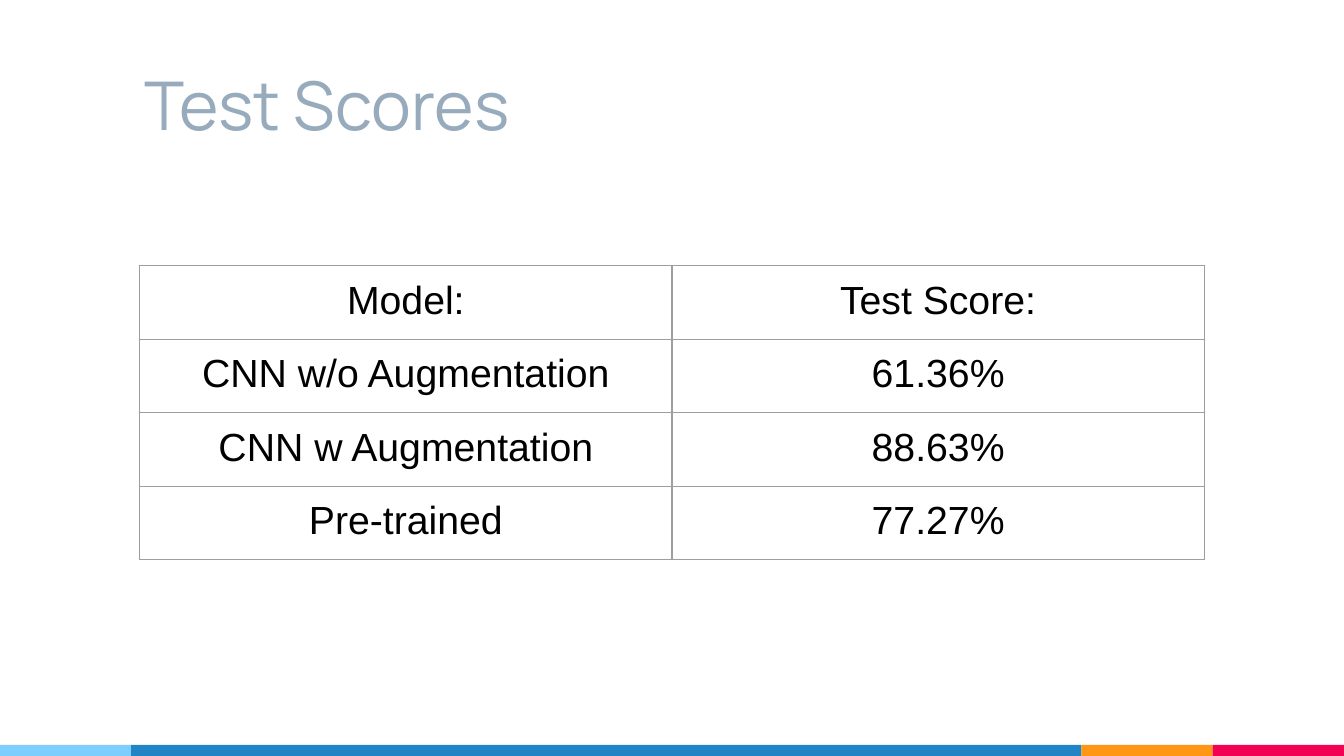
import pptx
import pptx.util
import pptx.dml.color
import pptx.enum.shapes
import pptx.enum.text
import lxml.etree
from pptx.util import Cm

HUES = {
    "title": "97ABBC",
    "text": "000000",
    "grid": "9E9E9E",
    "sky": "7ECEFD",
    "blue": "2185C5",
    "gold": "FF9715",
    "red": "F20253",
}
SCORES = [
    ("Model:", "Test Score:"),
    ("CNN w/o Augmentation", "61.36%"),
    ("CNN w Augmentation", "88.63%"),
    ("Pre-trained", "77.27%"),
]
PAD = Cm(0.25)
ALIGN = pptx.enum.text.PP_ALIGN
ANCHOR = pptx.enum.text.MSO_ANCHOR


def color(name):
    return pptx.dml.color.RGBColor.from_string(HUES[name])


def write(frame, text, size=21, font="Arial", hue="text", align=ALIGN.LEFT):
    line = frame.paragraphs[0]
    line.alignment = align
    run = line.add_run()
    run.text = text
    run.font.size = pptx.util.Pt(size)
    run.font.name = font
    run.font.color.rgb = color(hue)


def add_bar(slide, left, top, width, height):
    end = Cm(2.48)
    parts = [("sky", end), ("blue", width - 3 * end), ("gold", end), ("red", end)]
    for hue, span in parts:
        band = slide.shapes.add_shape(
            pptx.enum.shapes.MSO_SHAPE.RECTANGLE, left, top, span, height)
        band.shadow.inherit = False
        band.fill.solid()
        band.fill.fore_color.rgb = color(hue)
        band.line.fill.background()
        left += span


def add_title(slide, left, top, width, height):
    frame = slide.shapes.add_textbox(left, top, width, height).text_frame
    frame.word_wrap = True
    frame.vertical_anchor = ANCHOR.BOTTOM
    frame.margin_left = frame.margin_right = PAD
    frame.margin_top = frame.margin_bottom = PAD
    write(frame, "Test Scores", size=36, font="Manrope", hue="title")


def add_edges(cell):
    props = cell._tc.get_or_add_tcPr()
    space = pptx.oxml.ns.nsdecls("a")
    for spot, side in enumerate(("lnL", "lnR", "lnT", "lnB")):
        edge = lxml.etree.fromstring(
            f'<a:{side} {space} w="9525"><a:solidFill>'
            f'<a:srgbClr val="{HUES["grid"]}"/></a:solidFill></a:{side}>')
        props.insert(spot, edge)


def add_scores(slide, left, top, width, height):
    rows, cols = len(SCORES), len(SCORES[0])
    table = slide.shapes.add_table(rows, cols, left, top, width, height).table
    table.first_row = table.horz_banding = False
    for y, record in enumerate(SCORES):
        for x, text in enumerate(record):
            cell = table.cell(y, x)
            cell.fill.background()
            cell.margin_left = cell.margin_right = PAD
            cell.margin_top = cell.margin_bottom = PAD
            write(cell.text_frame, text, align=ALIGN.CENTER)
            add_edges(cell)


def main():
    deck = pptx.Presentation()
    deck.slide_width, deck.slide_height = Cm(25.4), Cm(14.29)
    slide = deck.slides.add_slide(deck.slide_layouts[6])
    add_bar(slide, 0, Cm(14.08), deck.slide_width, Cm(0.21))
    add_title(slide, Cm(2.48), Cm(0.58), Cm(17.96), Cm(2.39))
    add_scores(slide, Cm(2.64), Cm(5.02), Cm(20.12), Cm(5.32))
    deck.save("out.pptx")


if __name__ == "__main__":
    main()
